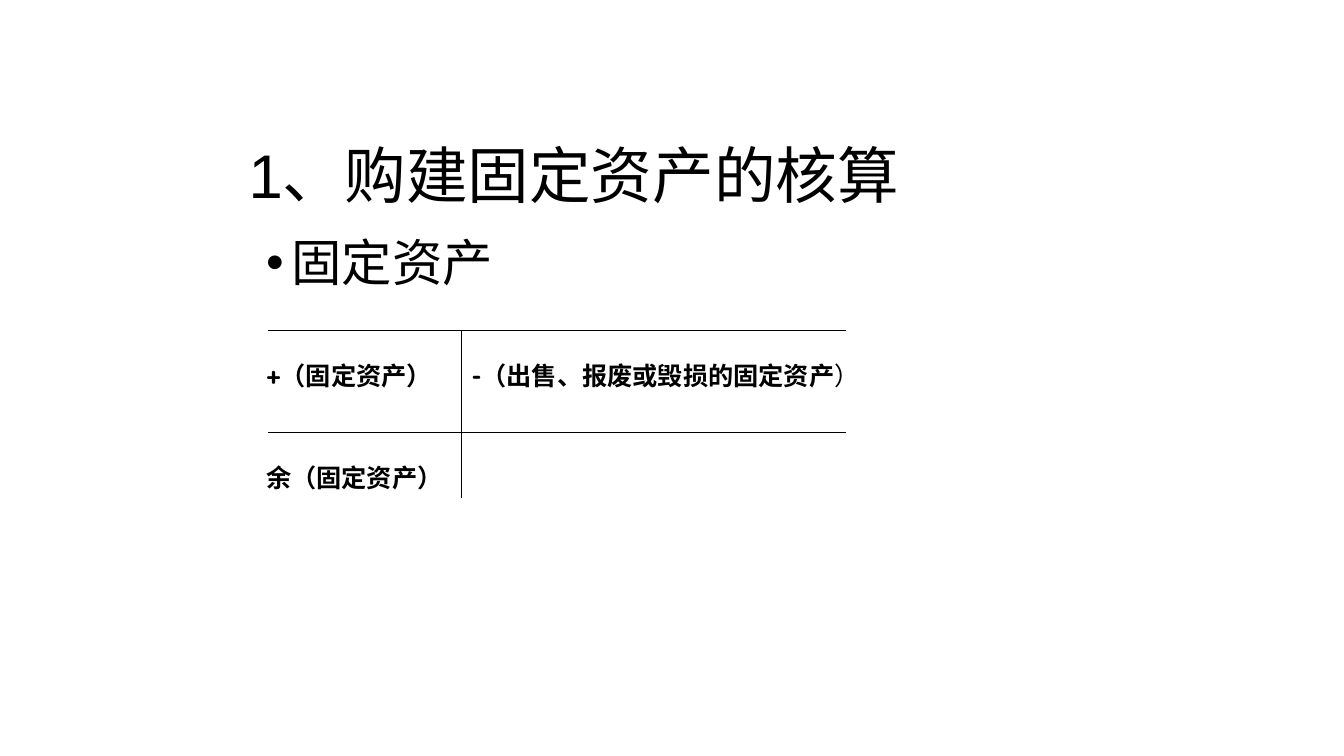
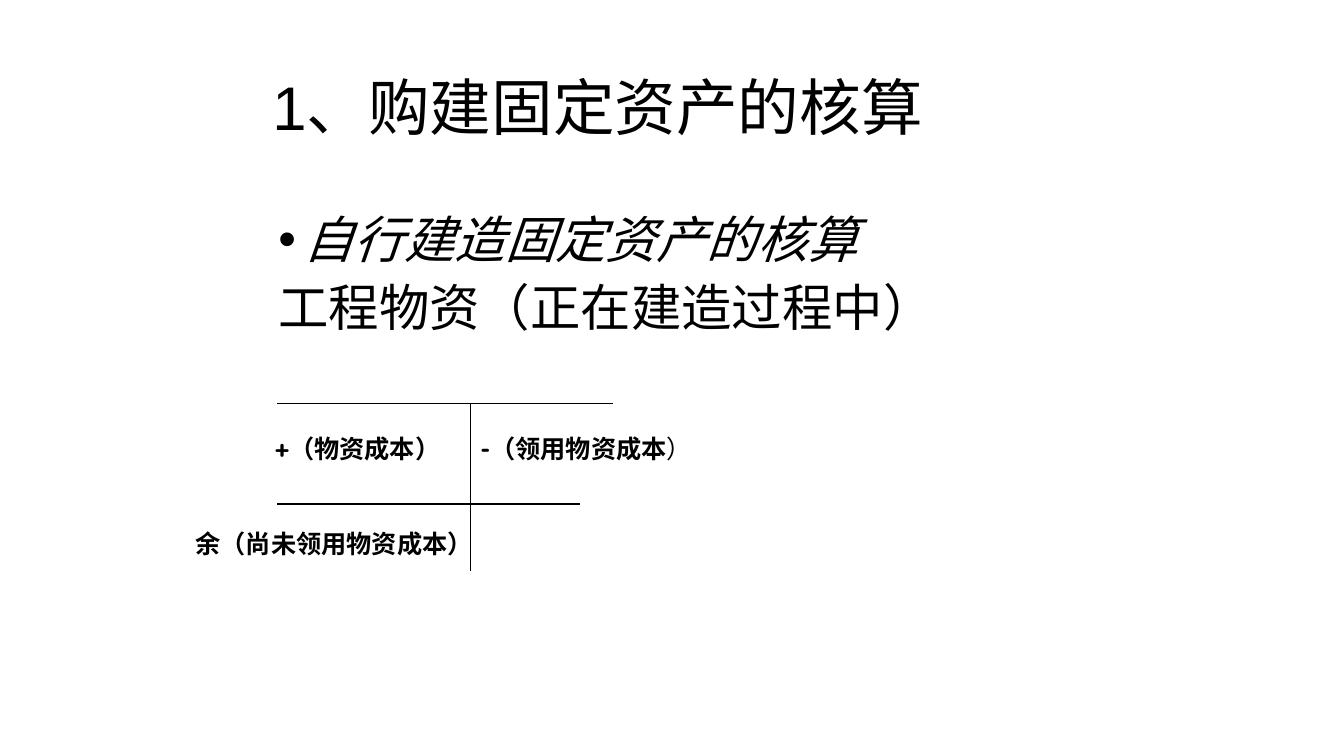
from lxml import etree
from pptx import Presentation
from pptx.dml.color import RGBColor
from pptx.enum import lang, shapes, text
from pptx.oxml import ns
from pptx.util import Pt

BLACK = RGBColor(0, 0, 0)
WHITE = RGBColor(255, 255, 255)
HEADING_FONT = "Arial"
LABEL_FONT = "Quicksand"
TITLE = "1、购建固定资产的核算"
TITLE_SIZE = (555, 65)
BODY_SIZE = (588, 330)
LABEL_HEIGHT = 29
INDENT = 18

SLIDES = [
    {
        "title_at": (170.5, 95),
        "body_at": (183, 166.5),
        "body": [("固定资产", True, False)],
        "account": {
            "left": 191.5, "stem": 329.75, "top": 236, "middle": 309, "bottom": 355.5,
            "top_right": 604, "middle_right": 604,
        },
        "labels": [
            (183, 254, 162, "+（固定资产）", ""),
            (329.75, 254, 306, "-（出售、报废或毁损的固定资产", "）"),
            (183, 326.5, 312, "余（固定资产）", ""),
        ],
    },
    {
        "title_at": (187.5, 46.5),
        "body_at": (191.75, 150),
        "body": [
            ("自行建造固定资产的核算", True, True),
            ("工程物资（正在建造过程中）", False, False),
        ],
        "account": {
            "left": 198, "stem": 336, "top": 288, "middle": 360, "bottom": 408,
            "top_right": 438, "middle_right": 414,
        },
        "labels": [
            (189, 306, 162, "+（物资成本）", ""),
            (336, 306, 306, "-（领用物资成本", "）"),
            (132.5, 373.5, 312, "余（尚未领用物资成本）", ""),
        ],
    },
]


def add_box(slide, left, top, width, height):
    frame = slide.shapes.add_textbox(Pt(left), Pt(top), Pt(width), Pt(height)).text_frame
    frame.word_wrap = True
    return frame


def add_run(paragraph, words, font_name, size, bold=False, italic=False):
    run = paragraph.add_run()
    run.text = words
    font = run.font
    font.name = font_name
    font.size = Pt(size)
    font.bold = bold
    font.italic = italic
    font.color.rgb = BLACK
    font.language_id = lang.MSO_LANGUAGE_ID.SIMPLIFIED_CHINESE


def add_title(slide, position):
    frame = add_box(slide, *position, *TITLE_SIZE)
    frame.vertical_anchor = text.MSO_ANCHOR.MIDDLE
    paragraph = frame.paragraphs[0]
    paragraph.line_spacing = 0.9
    add_run(paragraph, TITLE, HEADING_FONT, 44)


def set_bullet(paragraph, bulleted):
    properties = paragraph._p.get_or_add_pPr()
    properties.set("marL", str(Pt(INDENT)))
    properties.set("indent", str(-Pt(INDENT)))
    if bulleted:
        etree.SubElement(properties, ns.qn("a:buFont")).set("typeface", HEADING_FONT)
        etree.SubElement(properties, ns.qn("a:buChar")).set("char", "•")
    else:
        etree.SubElement(properties, ns.qn("a:buNone"))


def add_body(slide, position, lines):
    frame = add_box(slide, *position, *BODY_SIZE)
    for index, (words, bulleted, italic) in enumerate(lines):
        paragraph = frame.add_paragraph() if index else frame.paragraphs[0]
        set_bullet(paragraph, bulleted)
        paragraph.line_spacing = 0.9
        if index:
            paragraph.space_before = Pt(10)
        add_run(paragraph, words, HEADING_FONT, 36, italic=italic)


def add_line(slide, *ends):
    line = slide.shapes.add_connector(shapes.MSO_CONNECTOR.STRAIGHT, *map(Pt, ends))
    line.line.color.rgb = BLACK
    line.line.width = Pt(0.75)
    etree.SubElement(line._element.spPr, ns.qn("a:effectLst"))


def add_account(slide, account):
    for level in ("top", "middle"):
        add_line(slide, account["left"], account[level], account[level + "_right"], account[level])
    add_line(slide, account["stem"], account["top"], account["stem"], account["bottom"])


def add_label(slide, left, top, width, words, closing):
    paragraph = add_box(slide, left, top, width, LABEL_HEIGHT).paragraphs[0]
    add_run(paragraph, words, LABEL_FONT, 18, bold=True)
    if closing:
        add_run(paragraph, closing, LABEL_FONT, 18)


def main():
    presentation = Presentation()
    presentation.slide_width = Pt(960)
    presentation.slide_height = Pt(540)
    background = presentation.slide_master.background.fill
    background.solid()
    background.fore_color.rgb = WHITE
    for content in SLIDES:
        slide = presentation.slides.add_slide(presentation.slide_layouts[6])
        add_title(slide, content["title_at"])
        add_body(slide, content["body_at"], content["body"])
        add_account(slide, content["account"])
        for label in content["labels"]:
            add_label(slide, *label)
    presentation.save("out.pptx")


if __name__ == "__main__":
    main()
